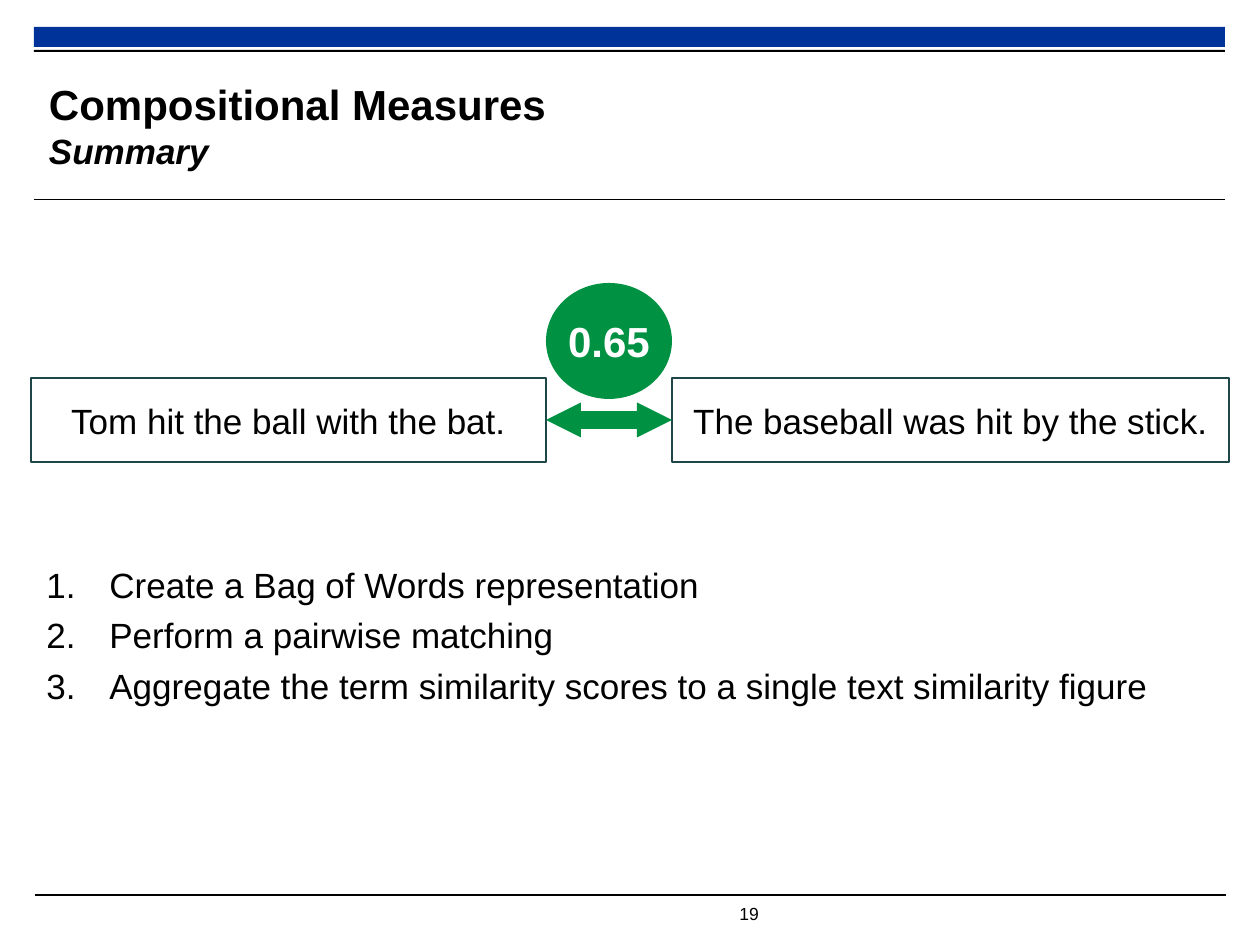
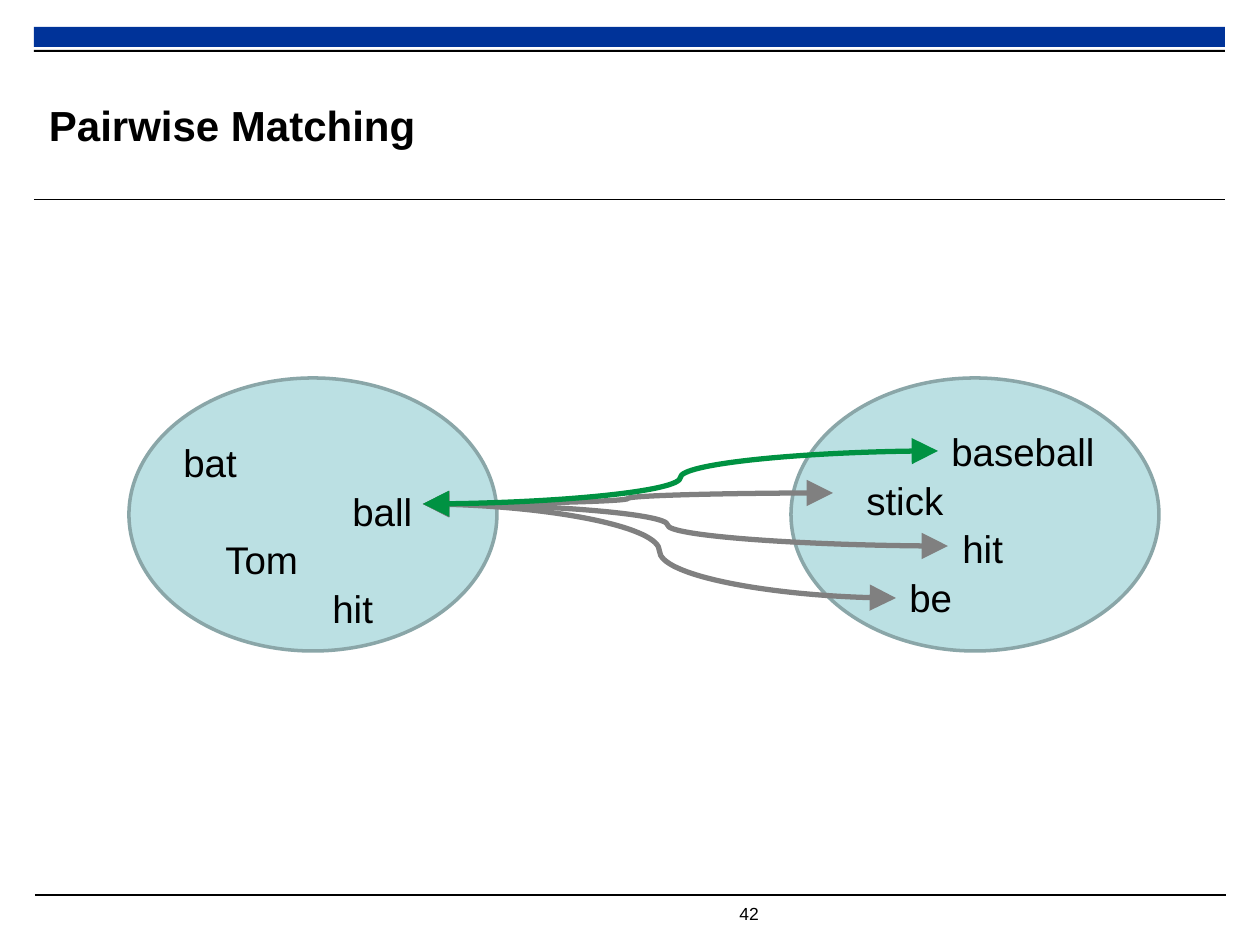
from dataclasses import dataclass

from lxml import etree
from pptx import Presentation
from pptx import util as u
from pptx.dml.color import RGBColor
from pptx.enum import shapes, text
from pptx.oxml import ns

PX = 914400 / 126
KIND = shapes.MSO_SHAPE
LINK = shapes.MSO_CONNECTOR


@dataclass(frozen=True)
class Theme:
    font: str = "Arial"
    ink: str = "000000"
    paper: str = "FFFFFF"
    band: str = "003399"
    frame: str = "1E4649"
    green: str = "009242"
    gray: str = "808080"
    pool: str = "BBE0E3"
    rim: str = "8AA6A8"
    title: int = 24
    word: int = 22
    body: int = 20
    small: int = 10


def emu(*sizes):
    return [round(size * PX) for size in sizes]


def add(parent, tag, **attrs):
    return etree.SubElement(parent, ns.qn(tag), attrs)


class Deck:
    def __init__(self, theme):
        self.theme = theme
        self.file = Presentation()
        self.file.slide_width, self.file.slide_height = emu(1260, 945)
        self.slide = None

    def page(self, number, title, note=None):
        t = self.theme
        self.slide = self.file.slides.add_slide(self.file.slide_layouts[6])
        self.shape(KIND.RECTANGLE, (34, 27, 1191, 20), t.band)
        self.line((34, 200), (1225, 200), t.ink, 0.6)
        self.line((35, 895), (1226, 895), t.ink, 0.6)
        self.shape(KIND.RECTANGLE, (34, 50, 1191, 2), t.ink)
        self.text((727, 897, 60, 34), [number], t.small, wrap=False)
        head = self.text((49, 67, 896, 116), [title], t.title, bold=True, inset=0)
        head.vertical_anchor = text.MSO_ANCHOR.MIDDLE
        if note:
            par = head.paragraphs[0]
            par.add_line_break()
            run = par.add_run()
            run.text = note
            self.style(run.font, t.body, t.ink, True)
            run.font.italic = True

    def style(self, font, size, color, bold=False):
        font.name = self.theme.font
        font.size = u.Pt(size)
        font.bold = bold
        font.color.rgb = RGBColor.from_string(color)

    def fill(self, frame, lines, size, color, bold, inset):
        frame.text = "\n".join(lines)
        if inset is not None:
            frame.margin_left = frame.margin_right = inset
            frame.margin_top = frame.margin_bottom = inset
        for par in frame.paragraphs:
            for run in par.runs:
                self.style(run.font, size, color, bold)

    def text(self, box, lines, size, bold=False, inset=None, wrap=True):
        frame = self.slide.shapes.add_textbox(*emu(*box)).text_frame
        frame.word_wrap = wrap
        self.fill(frame, lines, size, self.theme.ink, bold, inset)
        return frame

    def shape(self, kind, box, fill, edge=None, width=1):
        item = self.slide.shapes.add_shape(kind, *emu(*box))
        item.shadow.inherit = False
        item.fill.solid()
        item.fill.fore_color.rgb = RGBColor.from_string(fill)
        if edge:
            item.line.color.rgb = RGBColor.from_string(edge)
            item.line.width = u.Pt(width)
        else:
            item.line.fill.background()
        return item

    def label(self, item, words, size, color, bold=False, inset=None):
        frame = item.text_frame
        frame.word_wrap = True
        frame.vertical_anchor = text.MSO_ANCHOR.MIDDLE
        self.fill(frame, [words], size, color, bold, inset)
        frame.paragraphs[0].alignment = text.PP_ALIGN.CENTER

    def line(self, start, end, color, width, kind=LINK.STRAIGHT, tip=None, bend=None):
        item = self.slide.shapes.add_connector(kind, *emu(*start, *end))
        item.line.color.rgb = RGBColor.from_string(color)
        item.line.width = u.Pt(width)
        props = item.element.spPr
        if tip:
            stroke = props.find(ns.qn("a:ln"))
            for end_tag in ("a:headEnd", "a:tailEnd"):
                add(stroke, end_tag, type="triangle", w=tip, len=tip)
        if bend:
            marks = props.find(ns.qn("a:prstGeom")).find(ns.qn("a:avLst"))
            add(marks, "a:gd", name="adj1", fmla=f"val {bend}")
        add(props, "a:effectLst")

    def steps(self, box, lines):
        frame = self.text(box, lines, self.theme.body)
        for i, par in enumerate(frame.paragraphs):
            par.space_before = u.Pt(5 if i else 0)
            props = par._p.get_or_add_pPr()
            gap = emu(63)[0]
            props.set("marL", str(gap))
            props.set("indent", str(-gap))
            add(props, "a:buFont", typeface="+mj-lt")
            add(props, "a:buAutoNum", type="arabicPeriod")

    def pool(self, left, box, words):
        t = self.theme
        self.shape(KIND.OVAL, (left, 378, 368, 273), t.pool, t.rim, 2)
        frame = self.text(box, [word for word, _ in words], t.word)
        for par, (_, shift) in zip(frame.paragraphs, words):
            par.line_spacing = 1.05
            par._p.get_or_add_pPr().set("marL", str(emu(shift)[0]))


def summary(deck):
    t = deck.theme
    deck.page("19", "Compositional Measures", "Summary")
    deck.steps((34, 557, 1191, 323), [
        "Create a Bag of Words representation",
        "Perform a pairwise matching",
        "Aggregate the term similarity scores to a single text similarity figure",
    ])
    for left, width, words in (
        (31, 515, "Tom hit the ball with the bat."),
        (672, 557, "The baseball was hit by the stick."),
    ):
        item = deck.shape(KIND.RECTANGLE, (left, 378, width, 84), t.paper, t.frame, 0.75)
        deck.label(item, words, t.body, t.ink)
    deck.line((546, 420), (672, 420), t.green, 10, tip="sm")
    score = deck.shape(KIND.OVAL, (546, 283, 126, 116), t.green)
    deck.label(score, "0.65", t.title, t.paper, bold=True, inset=0)


def matching(deck):
    t = deck.theme
    deck.page("42", "Pairwise Matching")
    deck.pool(129, (171, 431, 294, 199),
              [("bat", 0), ("ball", 169), ("Tom", 42), ("hit", 149)])
    deck.pool(791, (833, 420, 294, 199),
              [("baseball", 106), ("stick", 21), ("hit", 117), ("be", 64)])
    for end, color, bend in (
        ((833, 493), t.gray, None),
        ((948, 546), t.gray, 46600),
        ((896, 598), t.gray, None),
        ((938, 451), t.green, None),
    ):
        deck.line((423, 504), end, color, 3, LINK.CURVE, "lg", bend)


def main():
    deck = Deck(Theme())
    summary(deck)
    matching(deck)
    deck.file.save("out.pptx")


if __name__ == "__main__":
    main()
